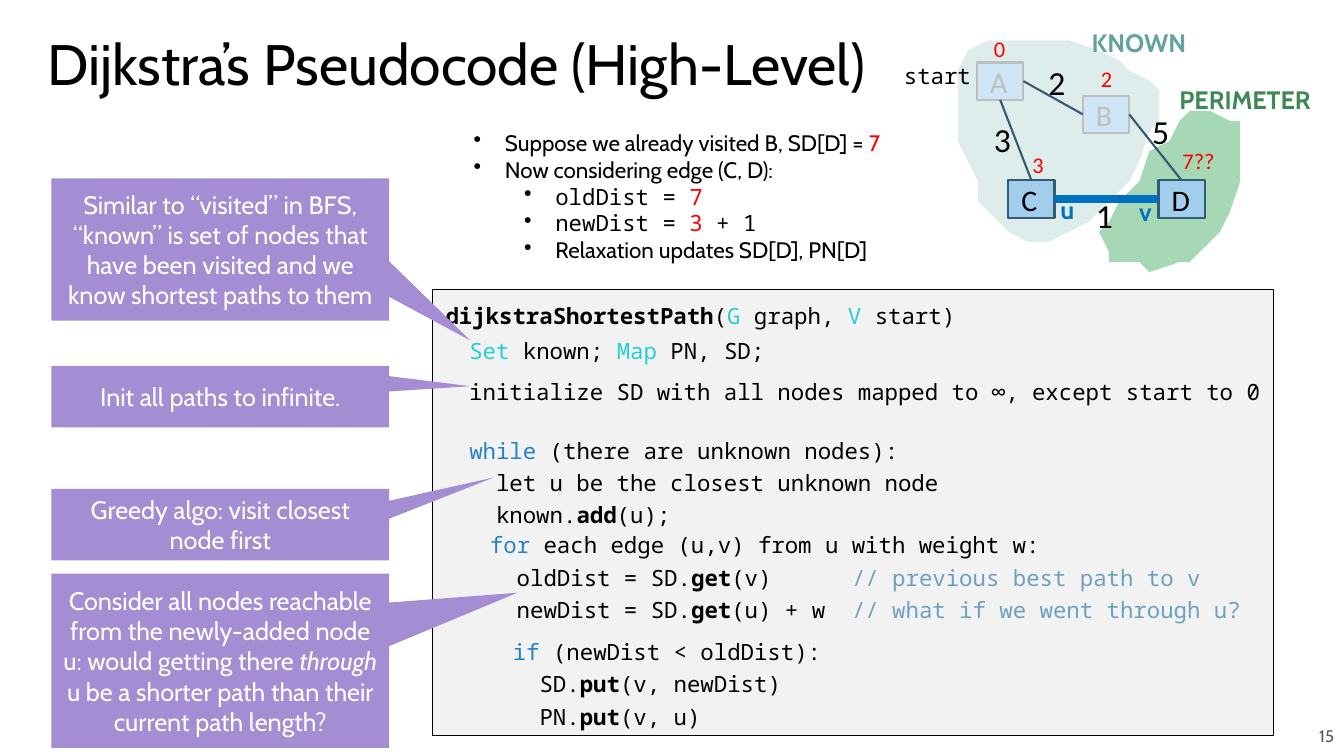
from dataclasses import dataclass

from lxml.etree import SubElement
from pptx import Presentation
from pptx.dml.color import RGBColor
from pptx.enum.shapes import MSO_CONNECTOR, MSO_SHAPE
from pptx.enum.text import MSO_ANCHOR as Anchor, PP_ALIGN as Align
from pptx.oxml.ns import qn
from pptx.util import Inches, Pt

CELL = Inches(0.1)
SANS, MONO, PLAIN = "Cabin", "Noto Sans Mono", "Calibri"
BLACK = RGBColor(0x00, 0x00, 0x00)
WHITE = RGBColor(0xFF, 0xFF, 0xFF)
GRAY = RGBColor(0x59, 0x59, 0x59)
FADED = RGBColor(0xBF, 0xBF, 0xBF)
PANEL = RGBColor(0xF2, 0xF2, 0xF2)
PURPLE = RGBColor(0xA4, 0x8D, 0xD3)
RED = RGBColor(0xFF, 0x00, 0x00)
TYPE = RGBColor(0x27, 0xCE, 0xD7)
KEYWORD = RGBColor(0x26, 0x83, 0xC6)
REMARK = RGBColor(0x6E, 0xA0, 0xC0)
EDGE = RGBColor(0x33, 0x5B, 0x74)
CURRENT = RGBColor(0x00, 0x70, 0xC0)
NODE = RGBColor(0xA2, 0xCD, 0xED)
VISITED = RGBColor(0xCF, 0xE6, 0xF6)
KNOWN_AREA = RGBColor(0xDF, 0xEC, 0xEC)
KNOWN_NAME = RGBColor(0x62, 0xA3, 0x9F)
PERIMETER_AREA = RGBColor(0xA7, 0xD8, 0xB6)
PERIMETER_NAME = RGBColor(0x3E, 0x88, 0x53)

KNOWN = [(21.7, 3.1), (19.3, 2.5), (17.3, 2.1), (13, 2.1), (10.9, 2.5), (9.4, 3.2), (8.1, 4.6),
         (7.7, 5.8), (7.8, 9.1), (8.3, 11.6), (9, 13.5), (9.6, 16), (10.4, 18.1), (10.9, 19.3),
         (12.6, 21.1), (14.8, 21.9), (17.4, 21.8), (19.5, 21.1), (21.2, 19.8), (23.3, 17.9),
         (24.8, 15.6), (26.1, 13.5), (27.5, 11.3), (28, 9.5), (27.9, 6.9), (27, 5.7),
         (25.5, 4.7), (23.8, 3.9)]
PERIMETER = [(33.2, 9), (30.6, 9.2), (29.7, 9.6), (28.5, 11.7), (27.3, 13.3), (25.7, 16.2),
             (24.1, 18.3), (23, 20), (22.3, 21.3), (22.5, 23), (23.5, 23.8), (25.7, 24.5),
             (26.8, 24.8), (30, 24.5), (31.3, 23.6), (32.7, 22.3), (33.9, 20.9), (34.9, 18.7),
             (35.6, 16.5), (36, 14.3), (35.9, 11.1), (35.6, 10.5), (34.6, 9.6)]


@dataclass
class Box:
    left: float
    top: float
    width: float
    height: float

    def within(self, left, top, width, height):
        return Box(self.left + left, self.top + top, width, height)

    def emu(self):
        return [round(n * CELL) for n in (self.left, self.top, self.width, self.height)]


@dataclass
class Words:
    text: str
    color: RGBColor = BLACK
    bold: bool = False
    italic: bool = False


def write(shape, lines, size, font, align=Align.LEFT, anchor=Anchor.TOP, inset=(1, 0.5), spacing=None):
    frame = shape.text_frame
    frame.word_wrap = True
    frame.vertical_anchor = anchor
    frame.margin_left = frame.margin_right = round(inset[0] * CELL)
    frame.margin_top = frame.margin_bottom = round(inset[1] * CELL)
    for index, line in enumerate(lines):
        paragraph = frame.add_paragraph() if index else frame.paragraphs[0]
        paragraph.alignment = align
        paragraph.line_spacing = spacing
        for words in line:
            run = paragraph.add_run()
            run.text = words.text
            run.font.name, run.font.size = font, Pt(size)
            run.font.bold, run.font.italic = words.bold, words.italic
            run.font.color.rgb = words.color
    return frame.paragraphs


def add_text(slide, box, lines, size, font, **layout):
    return write(slide.shapes.add_textbox(*box.emu()), lines, size, font, **layout)


def paint(shape, fill, line=None, width=0):
    shape.shadow.inherit = False
    shape.fill.solid()
    shape.fill.fore_color.rgb = fill
    if line is None:
        shape.line.fill.background()
    else:
        shape.line.color.rgb = line
        shape.line.width = Pt(width)


def add_callout(slide, box, tip, line):
    shape = slide.shapes.add_shape(MSO_SHAPE.RECTANGULAR_CALLOUT, *box.emu())
    shape.adjustments[0], shape.adjustments[1] = tip
    paint(shape, PURPLE)
    write(shape, [line], 18, SANS, align=Align.CENTER, anchor=Anchor.MIDDLE)


def add_callouts(slide, box):
    notes = [
        (0, 14.1, (0.74, 0.64), [Words("Similar to “visited” in BFS, “known” is set of nodes that have "
                                       "been visited and we know shortest paths to them", WHITE)]),
        (18.6, 6.1, (0.74, -0.17), [Words("Init all paths to infinite.", WHITE)]),
        (30.8, 7.1, (0.81, -0.66), [Words("Greedy algo: visit closest node first", WHITE)]),
        (39.2, 17.3, (0.88, -0.39), [
            Words("Consider all nodes reachable from the newly-added node u: would getting there ", WHITE),
            Words("through", WHITE, italic=True),
            Words(" u be a shorter path than their current path length?", WHITE)]),
    ]
    for top, height, tip, line in notes:
        add_callout(slide, box.within(0, top, box.width, height), tip, line)


def add_steps(slide, box):
    sans = [(0, [Words("Suppose we already visited B, SD[D] = "), Words("7", RED)], SANS),
            (0, [Words("Now considering edge (C, D):")], SANS),
            (1, [Words("oldDist = "), Words("7", RED)], MONO),
            (1, [Words("newDist = "), Words("3", RED), Words(" + 1")], MONO),
            (1, [Words("Relaxation updates SD[D], PN[D]")], SANS)]
    paragraphs = add_text(slide, box, [line for _, line, _ in sans], 16, SANS)
    for paragraph, (level, _, font) in zip(paragraphs, sans):
        paragraph.level = level
        properties = paragraph._p.get_or_add_pPr()
        properties.set("marL", str(Inches(0.31 + 0.5 * level)))
        properties.set("indent", str(-Inches(0.31)))
        SubElement(properties, qn("a:buChar")).set("char", "•")
        for run in paragraph.runs:
            run.font.name = font


def add_edge(slide, start, end, color, width):
    edge = slide.shapes.add_connector(MSO_CONNECTOR.STRAIGHT, 0, 0, 0, 0)
    edge.begin_connect(*start)
    edge.end_connect(*end)
    edge.line.color.rgb = color
    edge.line.width = Pt(width)
    SubElement(edge._element.spPr, qn("a:effectLst"))


def add_graph(slide, box):
    for outline, fill in ((PERIMETER, PERIMETER_AREA), (KNOWN, KNOWN_AREA)):
        points = [(box.left + x, box.top + y) for x, y in outline]
        builder = slide.shapes.build_freeform(*points[0], scale=CELL)
        builder.add_line_segments(points[1:], close=True)
        paint(builder.convert_to_shape(), fill)

    nodes = {}
    for name, left, top, fill, ink, line in (
            ("C", 13, 15.9, NODE, BLACK, EDGE), ("D", 27.9, 15.9, NODE, BLACK, EDGE),
            ("B", 20.4, 7.5, VISITED, FADED, FADED), ("A", 9.9, 4.2, VISITED, FADED, FADED)):
        node = slide.shapes.add_shape(MSO_SHAPE.RECTANGLE, *box.within(left, top, 4.6, 3.7).emu())
        paint(node, fill, line, 1.5)
        write(node, [[Words(name, ink)]], 21.3, PLAIN, anchor=Anchor.MIDDLE, inset=(1.3, 1.3))
        nodes[name] = node
    for start, start_side, end, end_side, color, width in (
            ("D", 1, "C", 3, CURRENT, 6), ("D", 0, "B", 3, EDGE, 1.5),
            ("B", 1, "A", 3, EDGE, 1.5), ("C", 0, "A", 2, EDGE, 1.5)):
        add_edge(slide, (nodes[start], start_side), (nodes[end], end_side), color, width)

    for text, left, top, width, color in (("KNOWN", 20.3, 0.2, 14.4, KNOWN_NAME),
                                          ("PERIMETER", 29, 5.9, 15.3, PERIMETER_NAME),
                                          ("u", 17.2, 16.8, 3.4, CURRENT), ("v", 25, 17, 3.2, CURRENT)):
        add_text(slide, box.within(left, top, width, 4), [[Words(text, color, True)]], 18, SANS)
    for text, left, top, width in (("0", 10.6, 1, 3.2), ("2", 21.2, 4, 3.2),
                                   ("3", 14.4, 12.5, 3.2), ("7??", 29.3, 12.1, 5.4)):
        add_text(slide, box.within(left, top, width, 3.7), [[Words(text, RED)]], 16, PLAIN)
    for text, left, top in (("2", 16, 3.7), ("3", 10.6, 9.3), ("5", 26.3, 8.5), ("1", 20.7, 16.8)):
        add_text(slide, box.within(left, top, 3.7, 5), [[Words(text)]], 24, PLAIN)
    add_text(slide, box.within(0, 2.9, 10.6, 5.2), [[Words("start")]], 16, MONO,
             align=Align.RIGHT, inset=(1.3, 1.3))


def add_code_panel(slide, box):
    panel = slide.shapes.add_shape(MSO_SHAPE.RECTANGLE, *box.emu())
    paint(panel, PANEL, BLACK, 0.75)
    signature = [Words("dijkstraShortestPath", bold=True), Words("("), Words("G", TYPE),
                 Words(" graph, "), Words("V ", TYPE), Words("start)")]
    write(panel, [signature], 16, MONO, inset=(1.3, 0.7), spacing=1.2)


def add_code(slide, box):
    blocks = [
        (0, 3.2, [[Words("  "), Words("Set", TYPE), Words(" known; "), Words("Map", TYPE), Words(" PN, SD;")]]),
        (0, 7.3, [[Words("  initialize SD with all nodes mapped to ∞, except start to 0")]]),
        (0, 13.1, [[Words("  "), Words("while", KEYWORD), Words(" (there are unknown nodes):")],
                   [Words("    let u be the closest unknown node")],
                   [Words("    known."), Words("add", bold=True), Words("(u);")]]),
        (-0.6, 22.5, [[Words("    "), Words("for", KEYWORD), Words(" each edge (u,v) from u with weight w:")],
                      [Words("      oldDist = SD."), Words("get", bold=True), Words("(v)      "),
                       Words("// previous best path to v", REMARK)],
                      [Words("      newDist = SD."), Words("get", bold=True), Words("(u) + w  "),
                       Words("// what if we went through u?", REMARK)]]),
        (-1, 33.1, [[Words("      "), Words("if", KEYWORD), Words(" (newDist < oldDist):")],
                    [Words("        SD."), Words("put", bold=True), Words("(v, newDist)")],
                    [Words("        PN."), Words("put", bold=True), Words("(v, u)")]]),
    ]
    for left, top, lines in blocks:
        place = box.within(left, top, box.width - 2 * left, 2 + 3.2 * len(lines))
        add_text(slide, place, lines, 16, MONO, inset=(1, 1), spacing=1.2)


def main():
    presentation = Presentation()
    presentation.slide_width, presentation.slide_height = Inches(13.33), Inches(7.5)
    slide = presentation.slides.add_slide(presentation.slide_layouts[6])
    code_box = Box(42.9, 28.7, 83.4, 44.3)
    add_text(slide, Box(86.5, 71, 46.8, 4), [[Words("15", GRAY)]], 12, SANS,
             align=Align.RIGHT, anchor=Anchor.MIDDLE, inset=(1, 1))
    add_code_panel(slide, code_box)
    add_text(slide, Box(3.7, 2.9, 91, 7.5), [[Words("Dijkstra’s Pseudocode (High-Level)")]], 40.7, SANS,
             anchor=Anchor.MIDDLE, spacing=0.9)
    add_callouts(slide, Box(5.1, 17.7, 33.5, 56.5))
    add_steps(slide, Box(46, 12.3, 50.8, 14.5))
    add_graph(slide, Box(87, 2, 45, 25))
    add_code(slide, code_box)
    presentation.save("out.pptx")


if __name__ == "__main__":
    main()
